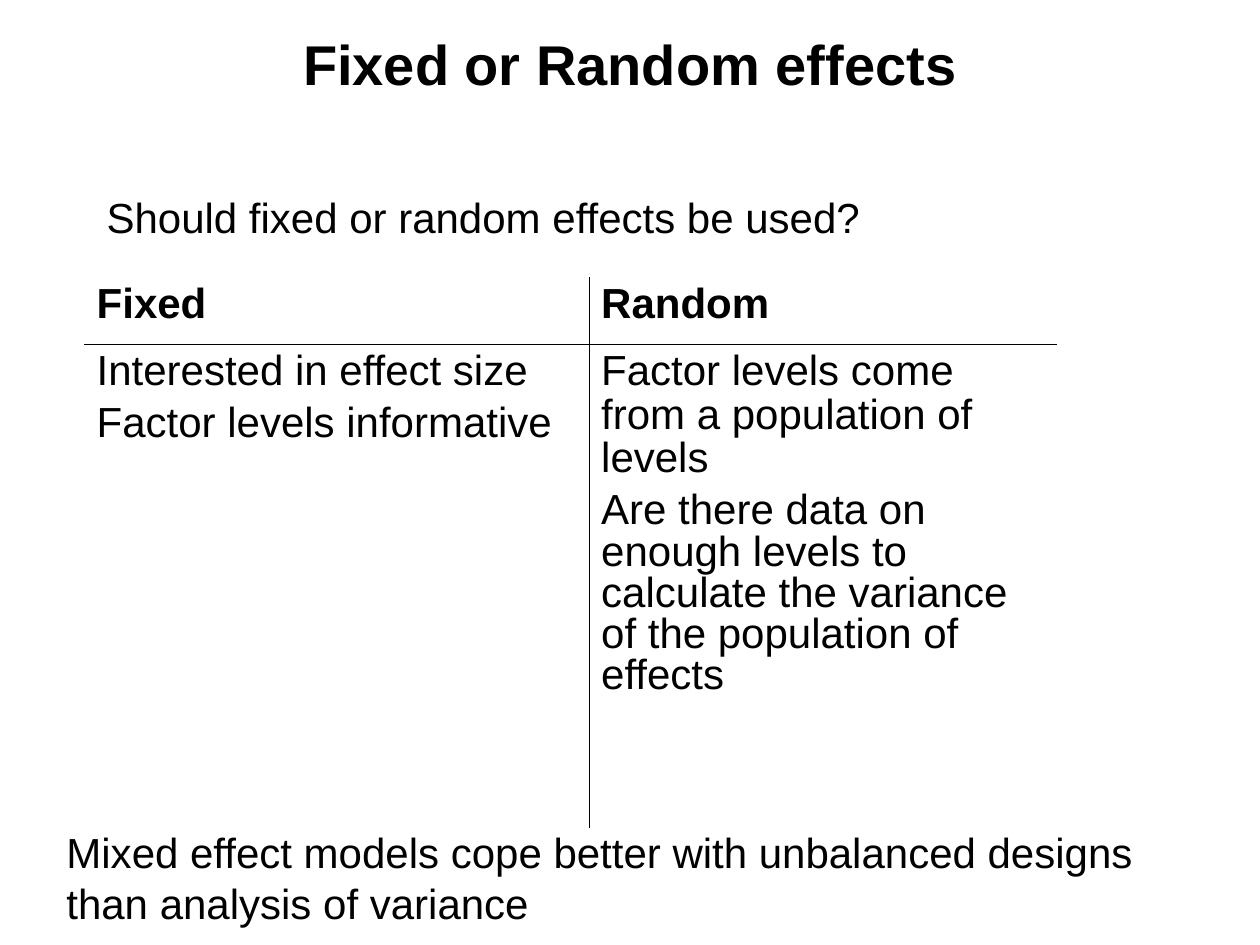
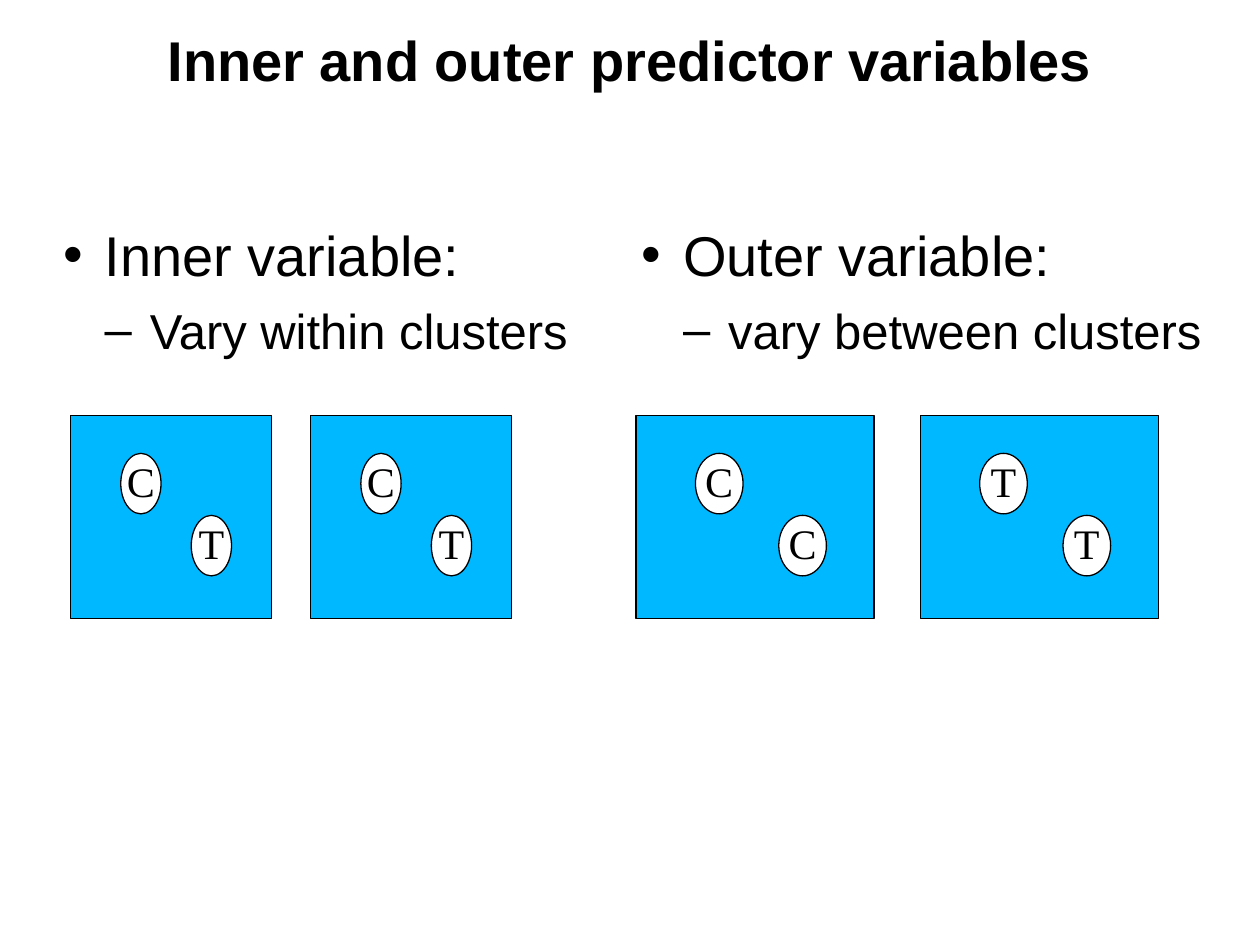
import pptx
import pptx.dml.color
import pptx.enum.shapes
import pptx.enum.text
import pptx.oxml
import pptx.oxml.ns
import pptx.util

Cm, Pt = pptx.util.Cm, pptx.util.Pt
Align = pptx.enum.text.PP_ALIGN
Anchor = pptx.enum.text.MSO_ANCHOR
Shape = pptx.enum.shapes.MSO_SHAPE

HUES = {"ink": "000000", "paper": "FFFFFF", "box": "00B8FF"}
PLAIN = "{2D5ABB26-0587-4C30-8999-92F81FD0307C}"  # table style without grid
NS = pptx.oxml.ns.nsdecls("a")


def hue(name):
    return pptx.dml.color.RGBColor.from_string(HUES[name])


def put(frame, text, *, first=True, size=24, font="Arial", bold=False,
        align=Align.LEFT, space=1.0, before=0, level=0, mark=None,
        indent=0, hang=0):
    """Write one paragraph into a text frame."""
    para = frame.paragraphs[0] if first else frame.add_paragraph()
    para.alignment, para.line_spacing = align, space
    para.space_before, para.level = Pt(before), level
    run = para.add_run()
    run.text = text
    run.font.size, run.font.name, run.font.bold = Pt(size), font, bold
    run.font.color.rgb = hue("ink")
    if mark:
        props = para._p.get_or_add_pPr()
        props.set("marL", str(Cm(indent)))
        props.set("indent", str(-Cm(hang)))
        for xml in (f'<a:buClr {NS}><a:srgbClr val="{HUES["ink"]}"/></a:buClr>',
                    f'<a:buFont {NS} typeface="Arial"/>',
                    f'<a:buChar {NS} char="{mark}"/>'):
            props.append(pptx.oxml.parse_xml(xml))


def inset(frame, wide, high):
    frame.margin_left = frame.margin_right = Cm(wide)
    frame.margin_top = frame.margin_bottom = Cm(high)


class Deck:
    def __init__(self):
        self.prs = pptx.Presentation()
        self.prs.slide_width, self.prs.slide_height = Cm(25.4), Cm(19.05)
        self.slide = None

    def page(self, layout, title, top, high, space=1.0):
        """Start a slide with its title."""
        self.slide = self.prs.slides.add_slide(self.prs.slide_layouts[layout])
        frame = self.holder(0, 1.27, top, 22.87, high)
        frame.vertical_anchor = Anchor.MIDDLE
        put(frame, title, size=32, bold=True, align=Align.CENTER, space=space)

    def holder(self, idx, left, top, wide, high):
        shape = self.slide.placeholders[idx]
        shape.left, shape.top = Cm(left), Cm(top)
        shape.width, shape.height = Cm(wide), Cm(high)
        frame = shape.text_frame
        frame.auto_size = pptx.enum.text.MSO_AUTO_SIZE.NONE
        inset(frame, 0, 0)
        return frame

    def bullets(self, idx, left, wide, head, point):
        frame = self.holder(idx, left, 4.45, wide, 12.5)
        frame.vertical_anchor = Anchor.TOP
        put(frame, head, size=32, before=8, mark="•", indent=0.84, hang=0.84)
        put(frame, point, first=False, size=28, before=7, level=1, mark="–",
            indent=1.75, hang=0.91)

    def note(self, text, left, top, wide, high):
        box = self.slide.shapes.add_textbox(Cm(left), Cm(top), Cm(wide), Cm(high))
        box.text_frame.word_wrap = True
        put(box.text_frame, text, before=15)

    def form(self, kind, left, top, wide, high, fill):
        shape = self.slide.shapes.add_shape(
            kind, Cm(left), Cm(top), Cm(wide), Cm(high))
        shape.shadow.inherit = False
        shape.fill.solid()
        shape.fill.fore_color.rgb = hue(fill)
        shape.line.color.rgb, shape.line.width = hue("ink"), Pt(0.75)
        return shape

    def cluster(self, left, wide, units):
        """Draw a box holding two lettered units on a diagonal."""
        self.form(Shape.RECTANGLE, left, 8.38, wide, 4.09, "box")
        for unit, part, top in zip(units, (0.25, 0.6), (9.14, 10.39)):
            oval = self.form(Shape.OVAL, left + part * wide, top,
                             0.2 * wide, 1.22, "paper")
            frame = oval.text_frame
            frame.word_wrap, frame.vertical_anchor = False, Anchor.MIDDLE
            inset(frame, 0, 0)
            put(frame, unit, font="Times New Roman", align=Align.CENTER, space=0.93)

    def table(self, rows, left, top, wides, highs):
        """Draw a table with inner rules only; each cell is a list of lines."""
        grid = self.slide.shapes.add_table(
            len(rows), len(wides), Cm(left), Cm(top),
            Cm(sum(wides)), Cm(sum(highs))).table
        grid.first_row = grid.horz_banding = False
        grid._tbl.tblPr.find(pptx.oxml.ns.qn("a:tableStyleId")).text = PLAIN
        for col, wide in zip(grid.columns, wides):
            col.width = Cm(wide)
        for row, high in zip(grid.rows, highs):
            row.height = Cm(high)
        for y, row in enumerate(rows):
            for x, lines in enumerate(row):
                cell = grid.cell(y, x)
                inset(cell, 0.25, 0.13)
                for n, line in enumerate(lines):
                    put(cell.text_frame, line, first=n == 0, bold=y == 0,
                        space=0.88 if n else 0.93, before=6)
                self.rules(cell, lnL=x > 0, lnR=x < len(wides) - 1,
                           lnT=y > 0, lnB=y < len(rows) - 1)

    def rules(self, cell, **sides):
        props = cell._tc.get_or_add_tcPr()
        for side, shown in sides.items():
            ink = (f'<a:solidFill><a:srgbClr val="{HUES["ink"]}"/></a:solidFill>'
                   if shown else "<a:noFill/>")
            props.append(pptx.oxml.parse_xml(
                f'<a:{side} {NS} w="{Pt(0.11)}">{ink}</a:{side}>'))
        cell.fill.background()


def main():
    deck = Deck()

    # Fixed or random effects
    deck.page(5, "Fixed or Random effects", 0.2, 2.13)
    deck.note("Should fixed or random effects be used?", 1.9, 3.73, 19.4, 2.82)
    deck.table(
        [[["Fixed"], ["Random"]],
         [["Interested in effect size", "Factor levels informative"],
          ["Factor levels come from a population of levels",
           "Are there data on enough levels to calculate the variance "
           "of the population of effects"]]],
        1.7, 5.59, (10.17, 9.43), (1.35, 9.75))
    deck.note("Mixed effect models cope better with unbalanced designs "
              "than analysis of variance", 1.09, 16.54, 22, 2.29)

    # Inner and outer variables
    deck.page(3, "Inner and outer predictor variables", 0.28, 1.98, space=0.93)
    deck.bullets(1, 1.27, 11.13, "Inner variable:", "Vary within clusters")
    deck.bullets(2, 12.93, 11.56, "Outer variable:", "vary between clusters")
    for left, wide, units in ((1.42, 4.06, "CT"), (6.26, 4.06, "CT"),
                              (12.82, 4.8, "CC"), (18.55, 4.8, "TT")):
        deck.cluster(left, wide, units)

    deck.prs.save("out.pptx")


if __name__ == "__main__":
    main()
